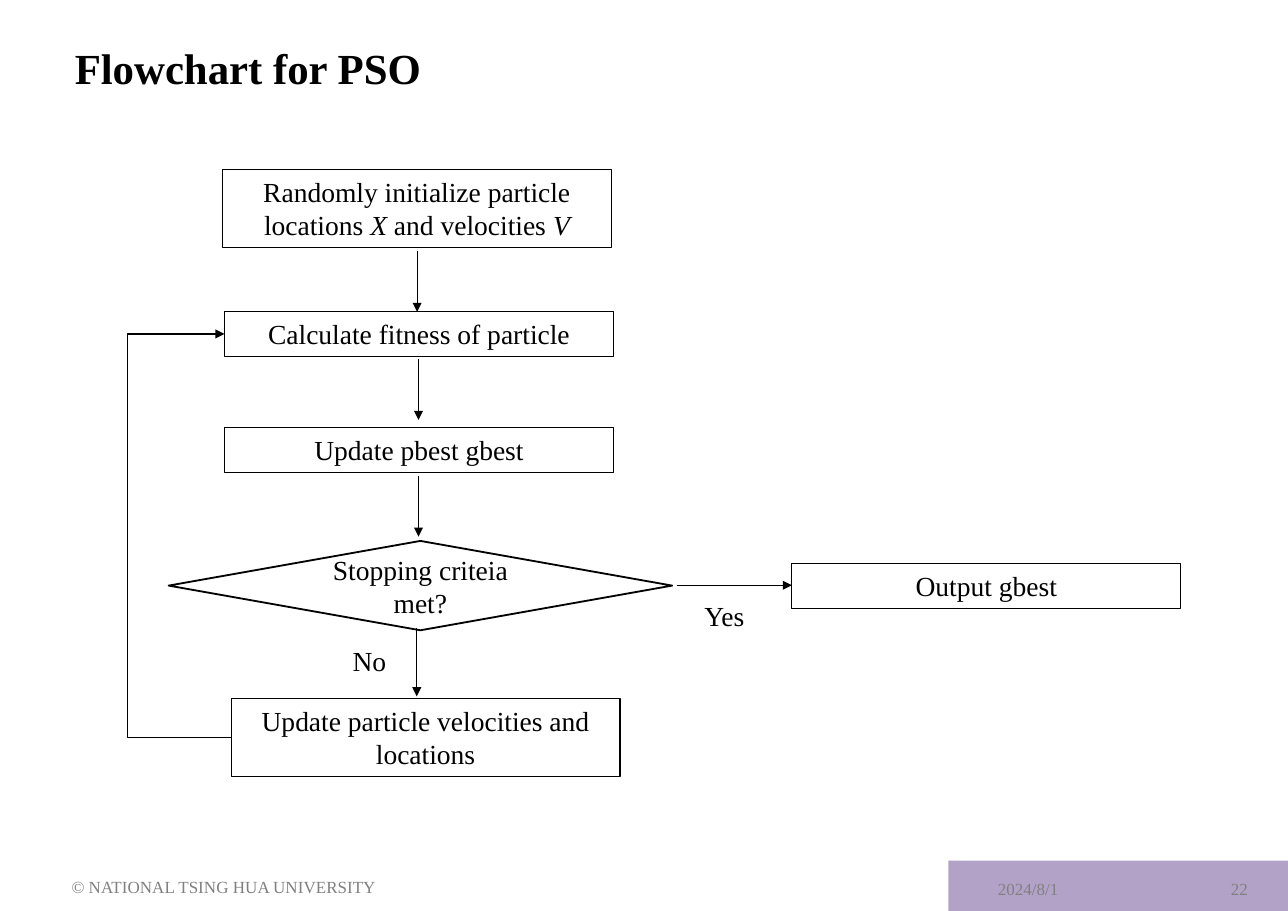
from dataclasses import dataclass

from lxml.etree import SubElement
from pptx import Presentation
from pptx.dml.color import RGBColor
from pptx.enum.shapes import MSO_CONNECTOR, MSO_SHAPE
from pptx.enum.text import MSO_ANCHOR, MSO_AUTO_SIZE, PP_ALIGN
from pptx.oxml.ns import qn
from pptx.util import Cm, Pt


@dataclass(frozen=True)
class Theme:
    font: str = "Times New Roman"
    ink: RGBColor = RGBColor(0, 0, 0)
    grey: RGBColor = RGBColor(0x80, 0x80, 0x80)
    bar: RGBColor = RGBColor(0xB3, 0xA2, 0xC7)
    title: float = 28
    body: float = 18
    small: float = 11.1
    thin: float = 0.75
    thick: float = 1.2


THEME = Theme()
WIDE = 8.97
LOW, TALL = 1.03, 1.8


def put_text(frame, runs, size=THEME.body, color=THEME.ink, bold=False,
             align=PP_ALIGN.CENTER, anchor=MSO_ANCHOR.TOP, wrap=True):
    """Write one paragraph; runs is a list of (text, italic) pairs."""
    frame.auto_size = MSO_AUTO_SIZE.NONE
    frame.word_wrap = wrap
    frame.vertical_anchor = anchor
    para = frame.paragraphs[0]
    para.alignment = align
    for text, italic in runs:
        run = para.add_run()
        run.text = text
        font = run.font
        font.name, font.size = THEME.font, Pt(size)
        font.bold, font.italic = bold, italic
        font.color.rgb = color
    return para


def add_title(slide, text):
    title = slide.shapes.title
    title.left, title.top = Cm(1.47), Cm(0.61)
    title.width, title.height = Cm(19.79), Cm(1.75)
    para = put_text(title.text_frame, [(text, False)], THEME.title, bold=True,
                    align=PP_ALIGN.LEFT, anchor=MSO_ANCHOR.MIDDLE)
    para.line_spacing = Pt(36.9)


def add_step(slide, x, y, runs, high=LOW, wide=WIDE, kind=MSO_SHAPE.RECTANGLE,
             line=THEME.thin, anchor=MSO_ANCHOR.TOP):
    step = slide.shapes.add_shape(kind, Cm(x), Cm(y), Cm(wide), Cm(high))
    step.shadow.inherit = False
    step.fill.background()
    step.line.color.rgb = THEME.ink
    step.line.width = Pt(line)
    put_text(step.text_frame, runs, anchor=anchor)


def add_label(slide, x, y, wide, high, text, **style):
    box = slide.shapes.add_textbox(Cm(x), Cm(y), Cm(wide), Cm(high))
    put_text(box.text_frame, [(text, False)], **style)


def add_arrow(slide, start, end, via=None):
    """Draw a straight arrow, or an elbow whose upright runs at x = via."""
    kind = MSO_CONNECTOR.STRAIGHT if via is None else MSO_CONNECTOR.ELBOW
    arrow = slide.shapes.add_connector(kind, *map(Cm, start + end))
    arrow.line.color.rgb = THEME.ink
    arrow.line.width = Pt(THEME.thin)
    props = arrow.element.spPr
    SubElement(props.find(qn("a:ln")), qn("a:tailEnd"), type="triangle")
    SubElement(props, qn("a:effectLst"))
    if via is not None:
        ratio = (start[0] - via) / (start[0] - end[0])
        guides = props.find(qn("a:prstGeom")).get_or_add_avLst()
        SubElement(guides, qn("a:gd"), name="adj1",
                   fmla=f"val {round(ratio * 100000)}")


def add_footer(slide):
    bar = slide.shapes.add_shape(MSO_SHAPE.RECTANGLE, Cm(21.87), Cm(19.84),
                                 Cm(7.83), Cm(1.16))
    bar.shadow.inherit = False
    bar.fill.solid()
    bar.fill.fore_color.rgb = THEME.bar
    bar.line.fill.background()
    for x, y, wide, text, align in [
        (22.76, 19.99, 3.5, "2024/8/1", PP_ALIGN.LEFT),
        (1.4, 19.94, 8.1, "© NATIONAL TSING HUA UNIVERSITY", PP_ALIGN.LEFT),
        (26.72, 19.99, 2.31, "22", PP_ALIGN.RIGHT),
    ]:
        add_label(slide, x, y, wide, 1, text, size=THEME.small,
                  color=THEME.grey, align=align, anchor=MSO_ANCHOR.MIDDLE)


def add_chart_flow(slide):
    start = [("Randomly initialize particle locations ", False), ("X", True),
             (" and velocities ", False), ("V", True)]
    add_step(slide, 5.13, 3.91, start, TALL)
    add_step(slide, 5.18, 7.19, [("Calculate fitness of particle", False)])
    add_step(slide, 5.18, 9.86, [("Update pbest gbest", False)])
    add_step(slide, 3.89, 12.47, [("Stopping criteia met?", False)], 2.06,
             11.61, MSO_SHAPE.DIAMOND, THEME.thick, MSO_ANCHOR.MIDDLE)
    add_step(slide, 18.26, 13, [("Output gbest", False)])
    add_step(slide, 5.33, 16.1,
             [("Update particle velocities and locations", False)], TALL)

    add_label(slide, 15.98, 13.69, 1.45, LOW, "Yes", wrap=False)
    add_label(slide, 7.87, 14.71, 1.3, LOW, "No", wrap=False)

    for x, top, end in [(9.62, 5.79, 7.19), (9.65, 8.28, 9.68),
                        (9.65, 10.97, 12.37), (9.61, 14.48, 16.05)]:
        add_arrow(slide, (x, top), (x, end))
    add_arrow(slide, (15.6, 13.49), (18.26, 13.49))
    add_arrow(slide, (5.33, 17), (5.18, 7.7), via=2.94)


def main():
    deck = Presentation()
    deck.slide_width, deck.slide_height = Cm(29.7), Cm(21)
    slide = deck.slides.add_slide(deck.slide_layouts[5])
    add_footer(slide)
    add_title(slide, "Flowchart for PSO")
    add_chart_flow(slide)
    deck.save("out.pptx")


if __name__ == "__main__":
    main()
